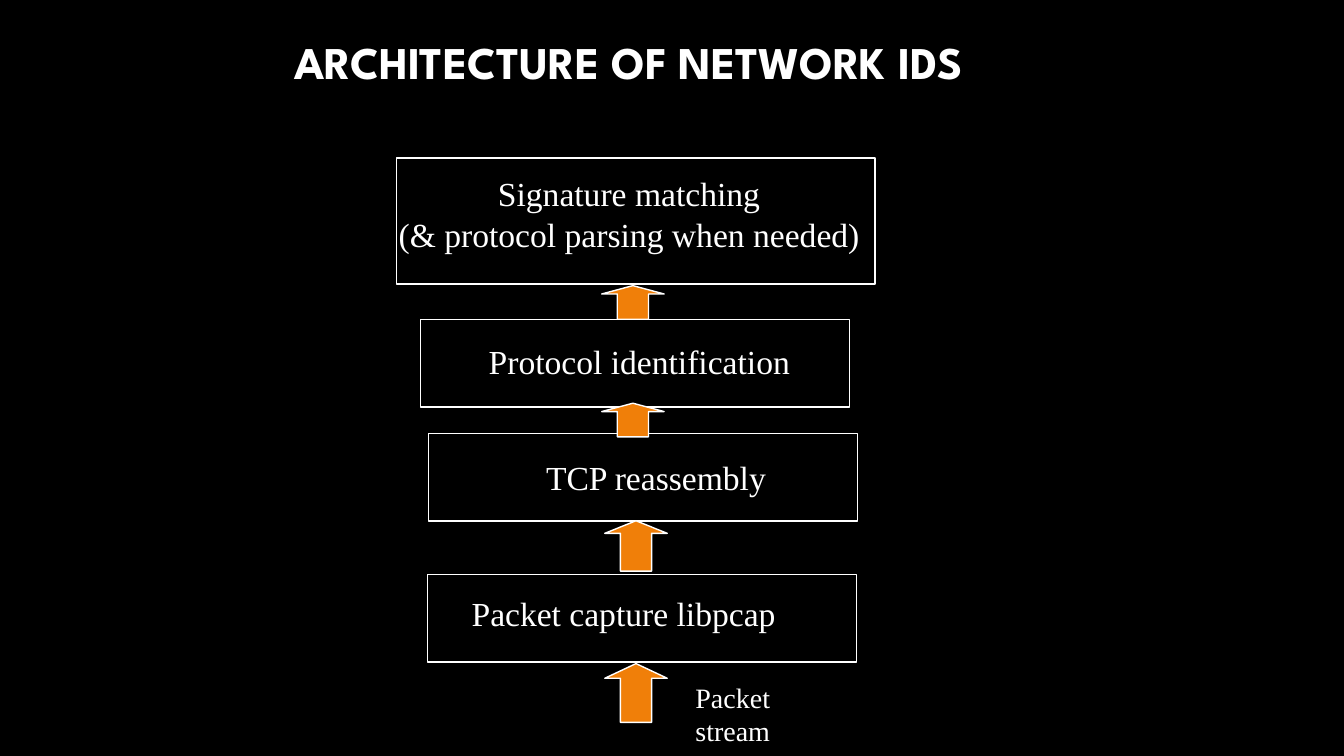
from pptx import Presentation
from pptx.dml.color import RGBColor
from pptx.enum import shapes, text
from pptx.util import Pt

BLACK = RGBColor(0x00, 0x00, 0x00)
WHITE = RGBColor(0xFF, 0xFF, 0xFF)
ORANGE = RGBColor(0xF0, 0x7F, 0x09)

LAYER_SIZE = (306.7, 62.6)
ARROW_WIDTH = 44.6


class SlideBuilder:
    """Holds the style and the current slide."""

    title_format = {"name": "League Spartan", "size": Pt(32.4), "bold": True}
    label_format = {"name": "Times New Roman", "size": Pt(24), "bold": False}

    def __init__(self, presentation):
        self.slide = presentation.slides.add_slide(presentation.slide_layouts[5])
        fill = self.slide.background.fill
        fill.solid()
        fill.fore_color.rgb = BLACK

    def set_text(self, frame, lines, style, align=text.PP_ALIGN.LEFT):
        frame.text = "\n".join(lines)
        for paragraph in frame.paragraphs:
            paragraph.alignment = align
            for name, value in style.items():
                setattr(paragraph.font, name, value)
            paragraph.font.color.rgb = WHITE

    def title(self, words, left, top, width, height):
        shape = self.slide.shapes.title
        shape.left, shape.top = Pt(left), Pt(top)
        shape.width, shape.height = Pt(width), Pt(height)
        frame = shape.text_frame
        frame.auto_size = text.MSO_AUTO_SIZE.NONE
        frame.vertical_anchor = text.MSO_ANCHOR.MIDDLE
        self.set_text(frame, [words], self.title_format)

    def label(self, lines, left, top, width, height, wrap=False,
              align=text.PP_ALIGN.LEFT, **changes):
        shape = self.slide.shapes.add_textbox(
            Pt(left), Pt(top), Pt(width), Pt(height))
        frame = shape.text_frame
        frame.word_wrap = wrap
        frame.auto_size = text.MSO_AUTO_SIZE.SHAPE_TO_FIT_TEXT
        self.set_text(frame, lines, {**self.label_format, **changes}, align)

    def outlined(self, kind, left, top, width, height):
        shape = self.slide.shapes.add_shape(
            kind, Pt(left), Pt(top), Pt(width), Pt(height))
        shape.shadow.inherit = False
        shape.line.color.rgb = WHITE
        shape.line.width = Pt(1)
        return shape

    def box(self, left, top, width, height):
        shape = self.outlined(shapes.MSO_SHAPE.RECTANGLE, left, top, width, height)
        shape.fill.background()

    def arrow(self, left, top, height):
        shape = self.outlined(
            shapes.MSO_SHAPE.UP_ARROW, left, top, ARROW_WIDTH, height)
        shape.fill.solid()
        shape.fill.fore_color.rgb = ORANGE
        shape.adjustments[0], shape.adjustments[1] = 0.5, 0.25


def main():
    presentation = Presentation()
    presentation.slide_width, presentation.slide_height = Pt(960), Pt(540)
    builder = SlideBuilder(presentation)
    builder.title("ARCHITECTURE OF NETWORK IDS", 203, 12.2, 607, 63.4)

    # Layers, from the packet capture upwards
    layers = [
        ("Packet capture libpcap", (329.8, 419.8, 233.3, 36.7), (305.3, 410.4)),
        ("TCP reassembly", (383, 322.6, 172.8, 36.7), (306, 309.6)),
        ("Protocol identification", (342, 239.8, 232.6, 36.7), (300.2, 228.2)),
    ]
    for words, label_place, corner in layers:
        builder.label([words], *label_place)
        builder.box(*corner, *LAYER_SIZE)

    # Top layer
    builder.box(283, 113, 342, 90)
    builder.label(["Signature matching", "(& protocol parsing when needed)"],
                  275.8, 120.2, 347, 65.5, wrap=True, align=text.PP_ALIGN.CENTER)

    # Flow between the layers
    for left, top, height in [(432, 474, 42), (432, 372, 36),
                              (429.8, 288, 24), (429.8, 204, 24)]:
        builder.arrow(left, top, height)
    builder.label(["Packet\vstream"], 489.6, 482.4, 126, 31, wrap=True, size=Pt(20))

    presentation.save("out.pptx")


if __name__ == "__main__":
    main()
